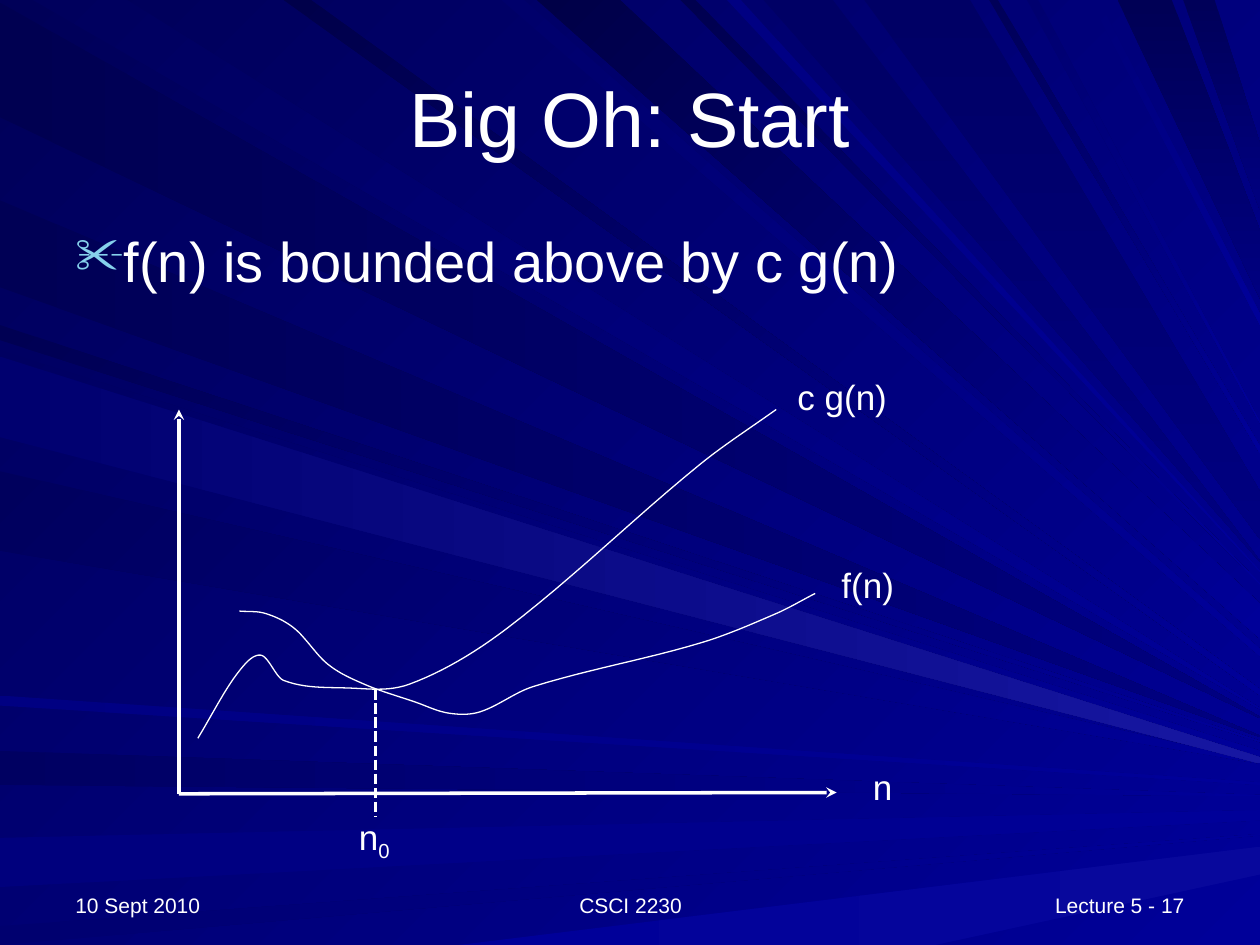
from enum import Enum
from itertools import pairwise
from typing import NamedTuple, Sequence

from lxml.etree import SubElement
from pptx import Presentation
from pptx.dml.color import RGBColor
from pptx.enum.dml import MSO_LINE
from pptx.enum.shapes import MSO_CONNECTOR
from pptx.enum.text import MSO_ANCHOR, PP_ALIGN
from pptx.oxml.ns import qn
from pptx.util import Cm, Pt

Point = tuple[float, float]


class Theme(NamedTuple):
    text: str = "FFFFFF"
    bullet: str = "86D1EC"
    night: str = "000058"
    navy: str = "000080"
    blue: str = "000099"
    glow: str = "1717A2"
    font: str = "Arial"
    title: int = 44
    body: int = 32
    label: int = 20
    footer: int = 12


class Edge(Enum):
    LEFT = "left"
    TOP = "top"
    BOTTOM = "bottom"


class Ray(NamedTuple):
    """A beam from a span of one slide edge to a span of the right edge."""
    edge: Edge
    near: Point
    far: Point
    start: str
    end: str
    angle: int


class Label(NamedTuple):
    text: str
    box: tuple[float, float, float, float]
    size: int
    align: PP_ALIGN = PP_ALIGN.LEFT
    anchor: MSO_ANCHOR = MSO_ANCHOR.TOP
    subscript: str = ""


THEME = Theme()
NAVY, BLUE, GLOW = THEME.navy, THEME.blue, THEME.glow
LEFT, TOP, BOTTOM = Edge.LEFT, Edge.TOP, Edge.BOTTOM
ACROSS, DIAGONAL, DOWN = 0, 45, 90

# Positions are in inches; inch() turns them into Cm lengths.
WIDTH, HEIGHT = 10, 7.5
RAYS = [
    Ray(LEFT, (0.02, 0.93), (5.69, 5.7), "000051", NAVY, ACROSS),
    Ray(TOP, (0.26, 1.01), (5.63, 5.62), "00005D", BLUE, DIAGONAL),
    Ray(LEFT, (5.96, 6.23), (6.31, 6.32), "000061", BLUE, ACROSS),
    Ray(LEFT, (6.65, 7.04), (6.43, 6.51), "00007D", BLUE, ACROSS),
    Ray(LEFT, (7.35, 7.5), (6.62, 6.63), "00006F", BLUE, ACROSS),
    Ray(BOTTOM, (3.64, 7.42), (6.72, 6.94), BLUE, "08089C", ACROSS),
    Ray(LEFT, (2.58, 2.7), (5.88, 5.89), "000053", BLUE, DIAGONAL),
    Ray(LEFT, (1.59, 2.28), (5.84, 5.85), "000055", NAVY, ACROSS),
    Ray(TOP, (3.98, 4.16), (5.21, 5.15), "00006B", BLUE, DIAGONAL),
    Ray(TOP, (4.26, 4.92), (5.07, 4.79), "000047", BLUE, DIAGONAL),
    Ray(TOP, (5.4, 5.52), (4.64, 4.63), "00004F", BLUE, DIAGONAL),
    Ray(TOP, (6.06, 6.61), (4.46, 4.45), "000065", NAVY, DOWN),
    Ray(TOP, (8.87, 9.3), (2.37, 1.83), "000055", NAVY, DOWN),
    Ray(TOP, (9.39, 9.64), (1.67, 1.14), "000059", NAVY, DOWN),
    Ray(LEFT, (2.78, 3.42), (5.96, 6.02), "000061", BLUE, DIAGONAL),
    Ray(LEFT, (3.74, 4.37), (6.05, 6.06), "00005D", BLUE, DIAGONAL),
    Ray(LEFT, (5.52, 5.6), (6.21, 6.23), "000082", BLUE, ACROSS),
    Ray(TOP, (2.25, 2.47), (5.52, 5.47), "00004A", BLUE, DIAGONAL),
    Ray(TOP, (5.77, 5.88), (4.54, 4.53), "000082", BLUE, DIAGONAL),
    Ray(TOP, (6.86, 7.7), (4.28, 3.9), "000065", NAVY, DOWN),
    Ray(TOP, (7.85, 7.92), (3.6, 3.54), "000058", BLUE, DIAGONAL),
    Ray(TOP, (8.15, 8.24), (3.36, 3.35), "00006F", BLUE, DIAGONAL),
    Ray(TOP, (8.65, 8.72), (2.58, 2.49), "000079", BLUE, DIAGONAL),
    Ray(LEFT, (2.83, 3.47), (6.01, 6.06), "00006F", GLOW, ACROSS),
]

CG_CURVE = [(1.57, 5.86), (1.88, 5.35), (2.07, 5.2), (2.25, 5.4), (2.75, 5.46),
            (3.25, 5.43), (4.02, 4.99), (5.55, 3.69), (6.16, 3.25)]
F_CURVE = [(1.9, 4.85), (2.11, 4.87), (2.34, 4.99), (2.6, 5.27), (2.89, 5.43),
           (3.29, 5.57), (3.56, 5.66), (3.81, 5.65), (4.23, 5.45),
           (5.57, 5.1), (6.16, 4.87), (6.47, 4.71)]
ORIGIN = (1.42, 6.3)


def footer(text: str, left: float, width: float, align: PP_ALIGN) -> Label:
    return Label(text, (left, 6.83, width, 0.5), THEME.footer, align, MSO_ANCHOR.BOTTOM)


LABELS = [
    footer("10 Sept 2010", 0.5, 2.33, PP_ALIGN.LEFT),
    footer("CSCI 2230", 3.42, 3.17, PP_ALIGN.CENTER),
    footer("Lecture 5 - 17", 7.17, 2.33, PP_ALIGN.RIGHT),
    Label("Big Oh: Start", (0.5, 0.3, 9, 1.25), THEME.title, PP_ALIGN.CENTER, MSO_ANCHOR.MIDDLE),
    Label("c g(n)", (6.23, 2.93, 1.38, 0.65), THEME.label),
    Label("f(n)", (6.58, 4.42, 1.38, 0.65), THEME.label),
    Label("n", (2.75, 6.42, 0.77, 0.65), THEME.label, subscript="0"),
    Label("n", (6.83, 6.03, 0.77, 0.65), THEME.label),
]
STATEMENT = Label("f(n) is bounded above by c g(n)", (0.5, 1.75, 9, 4.95), THEME.body)


def inch(value: float) -> Cm:
    return Cm(value * 2.54)


def rgb(color: str) -> RGBColor:
    return RGBColor.from_string(color)


def paint(fill, start: str, end: str, angle: int) -> None:
    """Fill with a gradient whose angle runs clockwise."""
    fill.gradient()
    fill.gradient_angle = -angle % 360
    for stop, color in zip(fill.gradient_stops, (start, end)):
        stop.color.rgb = rgb(color)


def outline(slide, points: Sequence[Point], close: bool):
    first, *rest = [(inch(x), inch(y)) for x, y in points]
    builder = slide.shapes.build_freeform(*first, scale=1.0)
    builder.add_line_segments(rest, close=close)
    shape = builder.convert_to_shape()
    shape.shadow.inherit = False
    return shape


def draw_ray(slide, ray: Ray) -> None:
    if ray.edge is LEFT:
        near = [(0, y) for y in ray.near]
    else:
        near = [(x, 0 if ray.edge is TOP else HEIGHT) for x in ray.near]
    far = [(WIDTH, y) for y in reversed(ray.far)]
    shape = outline(slide, near + far, close=True)
    paint(shape.fill, ray.start, ray.end, ray.angle)
    shape.line.fill.background()


def hairline(line) -> None:
    line.color.rgb = rgb(THEME.text)
    line.width = Pt(0)


def smooth_through(knots: Sequence[Point], steps: int = 12) -> list[Point]:
    """Join knots of rising x by cubic Hermite pieces."""
    neighbours = zip([knots[0], *knots], [*knots[1:], knots[-1]])
    slopes = [(b[1] - a[1]) / (b[0] - a[0]) for a, b in neighbours]
    points = [knots[0]]
    for ((x0, y0), m0), ((x1, y1), m1) in pairwise(zip(knots, slopes)):
        run = x1 - x0
        for step in range(1, steps + 1):
            t = step / steps
            s = 1 - t
            y = (s * s * (1 + 2 * t) * y0 + t * t * (1 + 2 * s) * y1
                 + run * t * s * (s * m0 - t * m1))
            points.append((x0 + t * run, y))
    return points


def draw_curve(slide, knots: Sequence[Point]) -> None:
    shape = outline(slide, smooth_through(knots), close=False)
    shape.fill.background()
    hairline(shape.line)


def draw_line(slide, start: Point, end: Point, arrow: bool = False) -> None:
    """Draw an arrow, or else a dashed line."""
    connector = slide.shapes.add_connector(MSO_CONNECTOR.STRAIGHT, *map(inch, start + end))
    hairline(connector.line)
    properties = connector._element.spPr
    if arrow:
        SubElement(properties.get_or_add_ln(), qn("a:tailEnd"), type="stealth")
    else:
        connector.line.dash_style = MSO_LINE.SQUARE_DOT
    SubElement(properties, qn("a:effectLst"))


def draw_label(slide, label: Label, bullet: str = "") -> None:
    frame = slide.shapes.add_textbox(*map(inch, label.box)).text_frame
    frame.word_wrap = True
    frame.vertical_anchor = label.anchor
    paragraph = frame.paragraphs[0]
    paragraph.text = label.text
    paragraph.alignment = label.align
    if bullet:
        add_bullet(paragraph, bullet)
    if label.subscript:
        index = paragraph.add_run()
        index.text = label.subscript
        index.font._element.set("baseline", "-25000")
    for run in paragraph.runs:
        run.font.name = THEME.font
        run.font.size = Pt(label.size)
        run.font.color.rgb = rgb(THEME.text)


def add_bullet(paragraph, mark: str) -> None:
    properties = paragraph._p.get_or_add_pPr()
    indent = inch(0.38)
    properties.set("marL", str(indent))
    properties.set("indent", str(-indent))
    SubElement(SubElement(properties, qn("a:buClr")), qn("a:srgbClr"), val=THEME.bullet)
    SubElement(properties, qn("a:buSzPct"), val="90000")
    SubElement(properties, qn("a:buChar"), char=mark)


def main() -> None:
    deck = Presentation()
    deck.slide_width, deck.slide_height = inch(WIDTH), inch(HEIGHT)
    slide = deck.slides.add_slide(deck.slide_layouts[6])
    paint(slide.background.fill, THEME.night, THEME.blue, DIAGONAL)
    for ray in RAYS:
        draw_ray(slide, ray)
    draw_label(slide, STATEMENT, bullet="✂")
    for axis_tip in [(1.42, 3.25), (6.64, 6.29)]:
        draw_line(slide, ORIGIN, axis_tip, arrow=True)
    for curve in (CG_CURVE, F_CURVE):
        draw_curve(slide, curve)
    draw_line(slide, (2.98, 5.47), (2.98, 6.48))
    for label in LABELS:
        draw_label(slide, label)
    deck.save("out.pptx")


if __name__ == "__main__":
    main()
